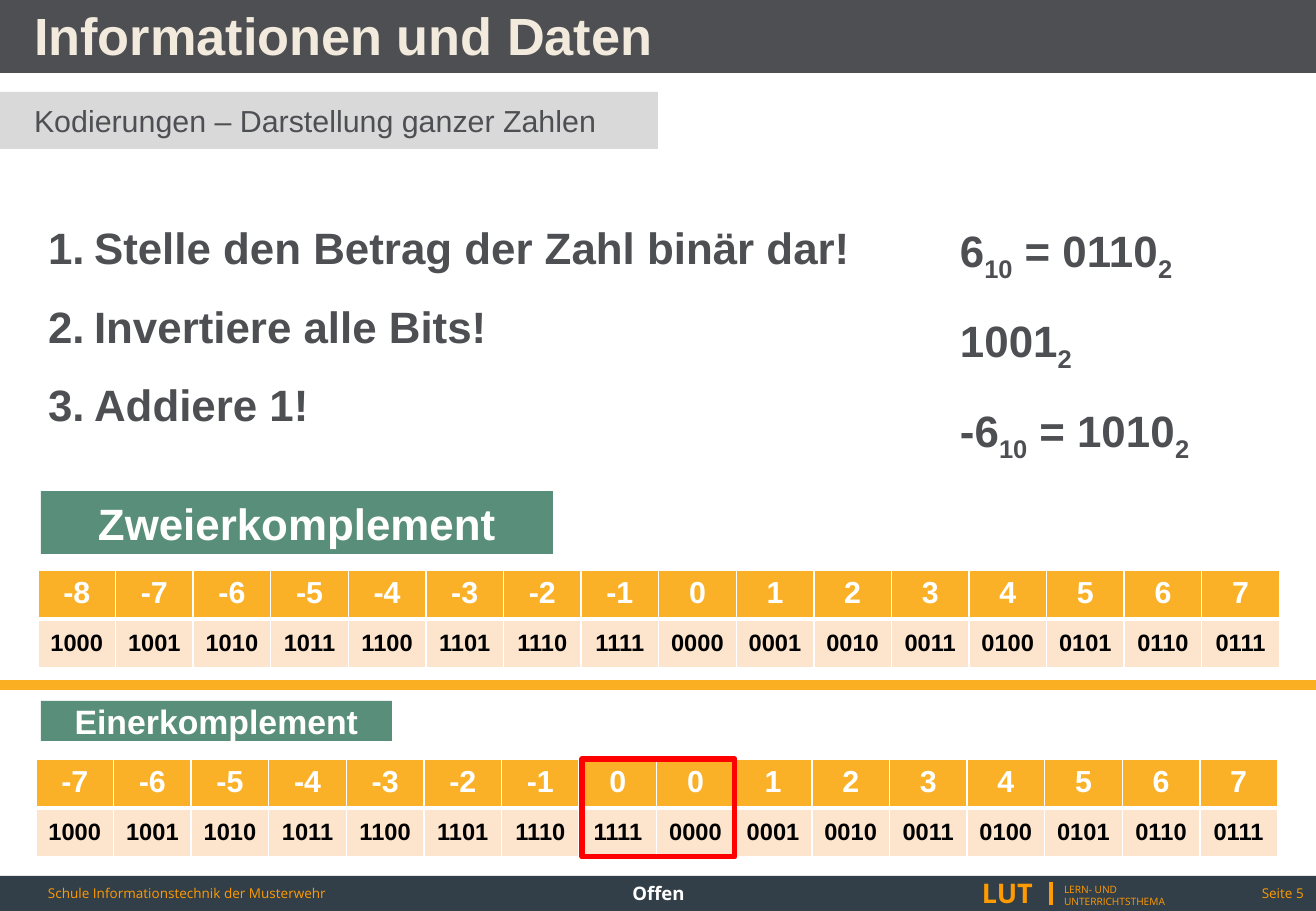
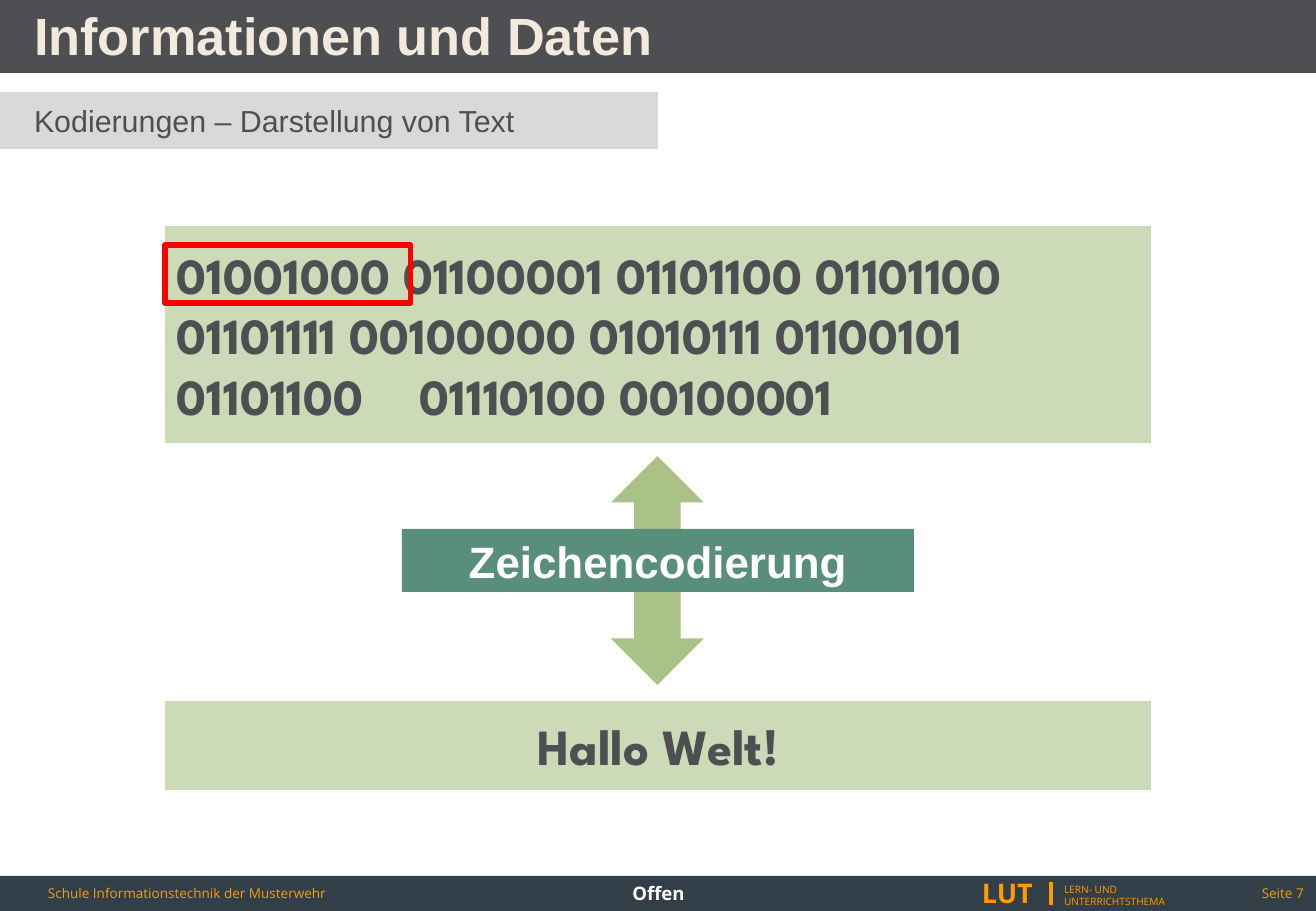
"""Build two slides on the coding of whole numbers and of text."""
from lxml.etree import SubElement
from pptx import Presentation
from pptx.dml.color import RGBColor
from pptx.enum.shapes import MSO_CONNECTOR, MSO_SHAPE
from pptx.enum.text import MSO_ANCHOR, MSO_AUTO_SIZE, PP_ALIGN
from pptx.oxml.ns import qn
from pptx.util import Pt

PX = 7526
WIDTH, HEIGHT = 1316, 911
GREY, WHITE, ORANGE, AMBER = "4E4F53", "FFFFFF", "FF9B00", "FAB128"
TEAL, PALE_GREEN, GREEN, RED = "598F7A", "CCDAB7", "AAC287", "FF0000"
LEFT, CENTER, RIGHT = PP_ALIGN.LEFT, PP_ALIGN.CENTER, PP_ALIGN.RIGHT
TOP, MIDDLE = MSO_ANCHOR.TOP, MSO_ANCHOR.MIDDLE
rgb = RGBColor.from_string


def block(slide, kind, box, fill=None, outline=None):
    shape = slide.shapes.add_shape(kind, *[n * PX for n in box])
    shape.shadow.inherit = False
    if fill:
        shape.fill.solid()
        shape.fill.fore_color.rgb = rgb(fill)
    else:
        shape.fill.background()
    if outline:
        shape.line.color.rgb = rgb(outline)
        shape.line.width = Pt(3)
    else:
        shape.line.fill.background()
    return shape


def write(frame, lines, size, color, font="Arial", bold=False, align=LEFT,
          anchor=MIDDLE, inset=12, spacing=1.0, numbered=False):
    frame.word_wrap = True
    frame.auto_size = MSO_AUTO_SIZE.NONE
    frame.vertical_anchor = anchor
    frame.margin_left, frame.margin_right = inset * PX, 12 * PX
    frame.margin_top = frame.margin_bottom = 6 * PX
    for index, line in enumerate(lines):
        paragraph = frame.add_paragraph() if index else frame.paragraphs[0]
        properties = paragraph._p.get_or_add_pPr()
        hanging = 46 * PX if numbered else 0
        properties.set("marL", str(hanging))
        properties.set("indent", str(-hanging))
        if numbered:
            SubElement(properties, qn("a:buFont")).set("typeface", "+mj-lt")
            SubElement(properties, qn("a:buAutoNum")).set("type", "arabicPeriod")
        else:
            SubElement(properties, qn("a:buNone"))
        paragraph.alignment = align
        paragraph.line_spacing = spacing
        paragraph.space_before = Pt(0)
        paragraph.font.size = Pt(size)
        paragraph.font.name = font
        paragraph.font.bold = bold
        paragraph.font.color.rgb = rgb(color)
        for position, piece in enumerate(line.split("_")):
            if piece:
                run = paragraph.add_run()
                run.text = piece
                if position % 2:
                    run._r.get_or_add_rPr().set("baseline", "-25000")


prs = Presentation()
prs.slide_width, prs.slide_height = WIDTH * PX, HEIGHT * PX
numbers = prs.slides.add_slide(prs.slide_layouts[3])
text = prs.slides.add_slide(prs.slide_layouts[1])

shared_parts = [
    block(numbers, MSO_SHAPE.RECTANGLE, (0, 0, WIDTH, 73), GREY),
    block(numbers, MSO_SHAPE.RECTANGLE, (0, 876, WIDTH, 35), "333F48"),
]
for box, lines, size, bold, anchor in [
    ((970, 871, 80, 40), ["LUT"], 16, True, TOP),
    ((1052, 877, 156, 34), ["LERN- UND", "UNTERRICHTSTHEMA"], 6, False, TOP),
    ((36, 876, 497, 35), ["Schule Informationstechnik der Musterwehr"], 8, False, MIDDLE),
]:
    label = numbers.shapes.add_textbox(*[n * PX for n in box])
    write(label.text_frame, lines, size, ORANGE, "Open Sans", bold, anchor=anchor)
    shared_parts.append(label)

rules = []
for ends, color, weight in [
    ((1051, 882, 1051, 905), ORANGE, 2),
    ((0, 685, WIDTH, 685), "FAAF22", 6),
]:
    rule = numbers.shapes.add_connector(MSO_CONNECTOR.STRAIGHT, *[n * PX for n in ends])
    rule.line.color.rgb = rgb(color)
    rule.line.width = Pt(weight)
    SubElement(rule.element.spPr, qn("a:effectLst"))
    rules.append(rule)
shared_parts.append(rules[0])

master_tree = prs.slide_master.shapes.element
for offset, part in enumerate(shared_parts):
    part.element.xpath(".//p:cNvPr")[0].set("id", str(100 + offset))
    master_tree.insert(2 + offset, part.element)

for slide, subject, page in [
    (numbers, "Kodierungen – Darstellung ganzer Zahlen", "Seite 5"),
    (text, "Kodierungen – Darstellung von Text", "Seite 7"),
]:
    title, subtitle = slide.shapes.title, slide.placeholders[1]
    subtitle.fill.solid()
    subtitle.fill.fore_color.rgb = rgb("D9D9D9")
    classification = slide.shapes.add_textbox(450 * PX, 876 * PX, 417 * PX, 35 * PX)
    page_number = slide.shapes.add_textbox(1011 * PX, 876 * PX, 305 * PX, 35 * PX)
    for holder, box in [(title, (0, 6, 1265, 57)), (subtitle, (0, 92, 658, 57))]:
        holder.left, holder.top, holder.width, holder.height = [n * PX for n in box]
    write(title.text_frame, ["Informationen und Daten"], 31, "F2EADC", bold=True, inset=34)
    write(subtitle.text_frame, [subject], 18, GREY, inset=34)
    write(classification.text_frame, ["Offen"], 11, WHITE, "Open Sans", True, CENTER, TOP)
    write(page_number.text_frame, [page], 8, ORANGE, "Open Sans", align=RIGHT)

steps = numbers.placeholders[2]
steps.left, steps.top, steps.width, steps.height = [n * PX for n in (36, 188, 835, 242)]
write(steps.text_frame,
      ["Stelle den Betrag der Zahl binär dar!", "Invertiere alle Bits!", "Addiere 1!"],
      26, GREY, bold=True, anchor=TOP, spacing=1.5, numbered=True)
example = numbers.shapes.add_textbox(948 * PX, 188 * PX, 271 * PX, 252 * PX)
write(example.text_frame, ["6_10_ = 0110_2_", "1001_2_", "-6_10_ = 1010_2_"],
      26, GREY, bold=True, anchor=TOP, spacing=1.5)

codes = [format((n + 8) % 16, "04b") for n in range(16)]
for left, top, values in [
    (38, 570, range(-8, 8)),
    (36, 759, [*range(-7, 1), *range(8)]),
]:
    table = numbers.shapes.add_table(2, 16, left * PX, top * PX, 1242 * PX, 98 * PX).table
    for column, pair in enumerate(zip(map(str, values), codes)):
        table.columns[column].width = 1242 * PX // 16
        for row, (entry, size, color, fill, anchor, borders) in enumerate(zip(
            pair, (18, 14), (WHITE, "000000"), (AMBER, "FDE4CD"), (TOP, MIDDLE),
            ((1, 1, 1, 3), (1, 1, 3, 1)),
        )):
            cell = table.cell(row, column)
            for side, weight in zip("LRTB", borders):
                border = SubElement(cell._tc.get_or_add_tcPr(), qn(f"a:ln{side}"))
                border.set("w", str(Pt(weight)))
                solid = SubElement(border, qn("a:solidFill"))
                SubElement(solid, qn("a:srgbClr")).set("val", WHITE)
            cell.fill.solid()
            cell.fill.fore_color.rgb = rgb(fill)
            cell.vertical_anchor = anchor
            cell.margin_left = cell.margin_right = 0
            paragraph = cell.text_frame.paragraphs[0]
            paragraph.text = entry
            paragraph.alignment = CENTER
            paragraph.font.size = Pt(size)
            paragraph.font.name = "Arial"
            paragraph.font.bold = True
            paragraph.font.color.rgb = rgb(color)

block(text, MSO_SHAPE.UP_DOWN_ARROW, (611, 456, 93, 229), GREEN)
bits = ("01001000 01100001 01101100 01101100 01101111 00100000 "
        "01010111 01100101 01101100 \t01110100 00100001")
for box, content, align in [
    ((165, 226, 986, 217), bits, LEFT),
    ((165, 701, 986, 89), "Hallo Welt!", CENTER),
]:
    panel = block(text, MSO_SHAPE.RECTANGLE, box, PALE_GREEN)
    write(panel.text_frame, [content], 30, GREY, "League Spartan", True, align)

for slide, box, heading, size in [
    (numbers, (41, 491, 512, 63), "Zweierkomplement", 26),
    (numbers, (41, 701, 351, 40), "Einerkomplement", 20),
    (text, (402, 529, 512, 63), "Zeichencodierung", 26),
]:
    banner = block(slide, MSO_SHAPE.RECTANGLE, box, TEAL)
    write(banner.text_frame, [heading], size, WHITE, bold=True, align=CENTER)

for slide, box in [(numbers, (582, 759, 153, 98)), (text, (165, 245, 246, 58))]:
    block(slide, MSO_SHAPE.RECTANGLE, box, outline=RED)

prs.save("out.pptx")
